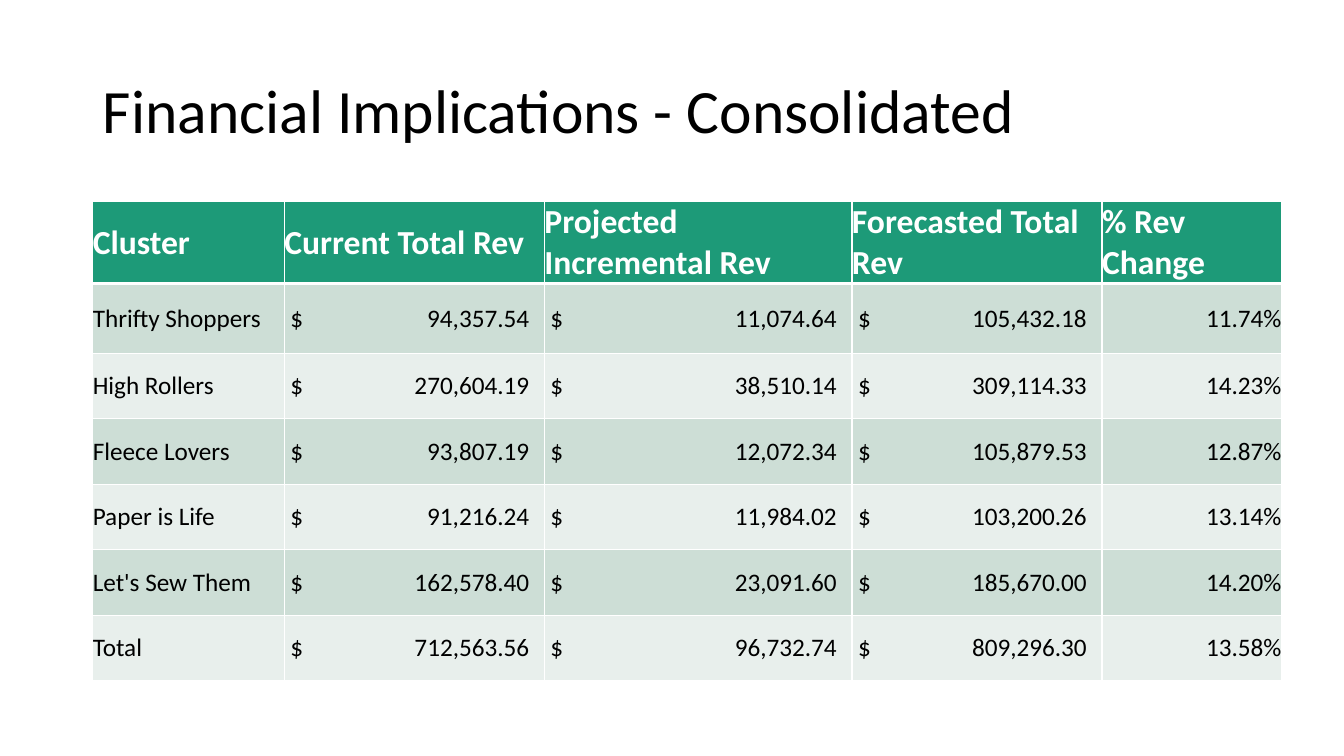
from dataclasses import dataclass
from lxml import etree
from pptx import Presentation
from pptx import util as u
from pptx.dml.color import RGBColor
from pptx.enum import text
from pptx.oxml.ns import qn


@dataclass(frozen=True)
class Theme:
    font: str = "Calibri"
    ink: str = "000000"
    white: str = "FFFFFF"
    header: str = "1D9A78"
    bands: tuple[str, str] = ("CDDED6", "E8EFEC")
    title_size: int = 44
    header_size: int = 24
    body_size: int = 18
    thin: int = 1
    thick: int = 3


@dataclass(frozen=True)
class Column:
    heading: str
    width: float
    money: bool = False
    align: text.PP_ALIGN = text.PP_ALIGN.LEFT


@dataclass(frozen=True)
class Cluster:
    name: str
    current: str
    incremental: str
    forecast: str
    change: str

    def values(self) -> list[str]:
        return [self.name, self.current, self.incremental, self.forecast, self.change]


THEME = Theme()
MONEY_LEFT, MONEY_RIGHT = 0.06, 0.15
HEADER_HEIGHT, FIRST_HEIGHT, ROW_HEIGHT = 0.69, 0.69, 0.65

COLUMNS = [
    Column("Cluster", 1.9),
    Column("Current Total Rev", 2.58, money=True),
    Column("Projected Incremental Rev", 3.05, money=True),
    Column("Forecasted Total Rev", 2.48, money=True),
    Column("% Rev Change", 1.78, align=text.PP_ALIGN.RIGHT),
]
CLUSTERS = [
    Cluster("Thrifty Shoppers", "94,357.54", "11,074.64", "105,432.18", "11.74%"),
    Cluster("High Rollers", "270,604.19", "38,510.14", "309,114.33", "14.23%"),
    Cluster("Fleece Lovers", "93,807.19", "12,072.34", "105,879.53", "12.87%"),
    Cluster("Paper is Life", "91,216.24", "11,984.02", "103,200.26", "13.14%"),
    Cluster("Let's Sew Them", "162,578.40", "23,091.60", "185,670.00", "14.20%"),
    Cluster("Total", "712,563.56", "96,732.74", "809,296.30", "13.58%"),
]


def format_runs(p, size: int, color: str, bold: bool = False) -> None:
    for r in p.runs:
        r.font.name = THEME.font
        r.font.size = u.Pt(size)
        r.font.bold = bold
        r.font.color.rgb = RGBColor.from_string(color)


def add_borders(cell, top: int, bottom: int) -> None:
    tc_pr = cell._tc.get_or_add_tcPr()
    widths = {"a:lnL": THEME.thin, "a:lnR": THEME.thin, "a:lnT": top, "a:lnB": bottom}
    for tag, width in widths.items():
        ln = etree.SubElement(tc_pr, qn(tag), w=str(u.Pt(width)))
        fill = etree.SubElement(ln, qn("a:solidFill"))
        etree.SubElement(fill, qn("a:srgbClr"), val=THEME.white)


def add_right_tab(p, position: float) -> None:
    tabs = etree.SubElement(p._p.get_or_add_pPr(), qn("a:tabLst"))
    etree.SubElement(tabs, qn("a:tab"), pos=str(u.Inches(position)), algn="r")


def fill_cell(cell, row: int, column: Column, value: str) -> None:
    is_header = row == 0
    is_money = column.money and not is_header
    cell.margin_left = u.Inches(MONEY_LEFT if is_money else 0)
    cell.margin_right = cell.margin_top = cell.margin_bottom = 0
    cell.vertical_anchor = text.MSO_ANCHOR.MIDDLE
    add_borders(cell, THEME.thick if row == 1 else THEME.thin,
                THEME.thick if is_header else THEME.thin)
    cell.fill.solid()
    cell.fill.fore_color.rgb = RGBColor.from_string(
        THEME.header if is_header else THEME.bands[(row - 1) % 2])
    p = cell.text_frame.paragraphs[0]
    p.text = f"$\t{value}" if is_money else value
    if is_money:
        add_right_tab(p, column.width - MONEY_LEFT - MONEY_RIGHT)
    p.alignment = text.PP_ALIGN.LEFT if is_header else column.align
    if is_header:
        format_runs(p, THEME.header_size, THEME.white, bold=True)
    else:
        format_runs(p, THEME.body_size, THEME.ink)


def add_title(s) -> None:
    sp = s.shapes.title
    sp.left, sp.top = u.Inches(0.92), u.Inches(0.4)
    sp.width, sp.height = u.Inches(11.5), u.Inches(1.45)
    tf = sp.text_frame
    tf.text = "Financial Implications - Consolidated"
    tf.vertical_anchor = text.MSO_ANCHOR.MIDDLE
    p = tf.paragraphs[0]
    p.alignment = text.PP_ALIGN.LEFT
    p.line_spacing = 0.9
    format_runs(p, THEME.title_size, THEME.ink)


def add_revenue_table(s) -> None:
    rows = [[c.heading for c in COLUMNS]] + [c.values() for c in CLUSTERS]
    heights = [HEADER_HEIGHT, FIRST_HEIGHT] + [ROW_HEIGHT] * (len(rows) - 2)
    table = s.shapes.add_table(
        len(rows), len(COLUMNS), u.Inches(0.92), u.Inches(2),
        u.Inches(sum(c.width for c in COLUMNS)), u.Inches(sum(heights))).table
    for j, column in enumerate(COLUMNS):
        table.columns[j].width = u.Inches(column.width)
    for i, (height, values) in enumerate(zip(heights, rows)):
        table.rows[i].height = u.Inches(height)
        for j, (column, value) in enumerate(zip(COLUMNS, values)):
            fill_cell(table.cell(i, j), i, column, value)


def main() -> None:
    prs = Presentation()
    prs.slide_width, prs.slide_height = u.Inches(13.33), u.Inches(7.5)
    s = prs.slides.add_slide(prs.slide_layouts[5])
    add_title(s)
    add_revenue_table(s)
    prs.save("out.pptx")


if __name__ == "__main__":
    main()
